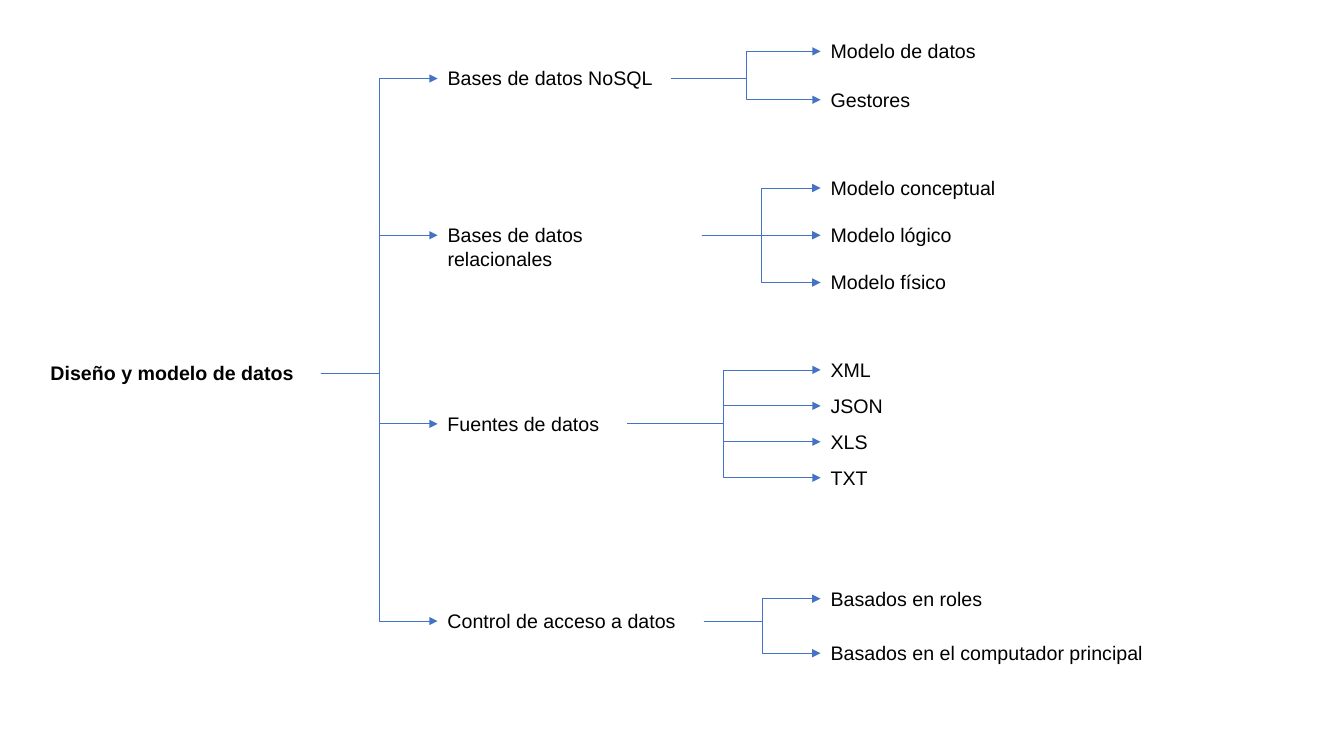
import collections
import pptx
import pptx.dml.color
import pptx.enum.dml
import pptx.enum.shapes
import pptx.enum.text
import pptx.oxml
import pptx.oxml.ns
import pptx.util

Theme = collections.namedtuple("Theme", "font size text line line_width inset_x inset_y")
Box = collections.namedtuple("Box", "left top width height")
Branch = collections.namedtuple("Branch", "topic topic_width topic_share top height leaves leaf_width")

THEME = Theme(
    font="Arial", size=pptx.util.Pt(14),
    text=pptx.dml.color.RGBColor(0, 0, 0),
    line=pptx.dml.color.RGBColor(0x44, 0x72, 0xC4), line_width=pptx.util.Pt(0.5),
    inset_x=pptx.util.Inches(0.1), inset_y=pptx.util.Inches(0.05))

SLIDE_W, SLIDE_H = pptx.util.Inches(13.33), pptx.util.Inches(7.5)

# Columns and heights, in percent of the slide
ROOT_LEFT, TOPIC_LEFT, LEAF_LEFT = 3, 32.56, 61.06
ROOT_WIDTH, ROOT_CENTER = 20.85, 49.33
LABEL_HEIGHT = 4.53

# Tops and heights run from the first leaf's centre to the last one's
BRANCHES = [
    Branch("Bases de datos NoSQL", 17.4, 0.56, 6.8, 6.4,
           ["Modelo de datos", "Gestores"], 20.85),
    Branch("Bases de datos relacionales", 19.65, 0.5, 24.87, 12.5,
           ["Modelo conceptual", "Modelo lógico", "Modelo físico"], 19.8),
    Branch("Fuentes de datos", 14.1, 0.5, 48.93, 14.27,
           ["XML", "JSON", "XLS", "TXT"], 19.8),
    Branch("Control de acceso a datos", 19.8, 0.41, 79.2, 7.2,
           ["Basados en roles", "Basados en el computador principal"], 26.86),
]


def x(percent):
    return round(SLIDE_W * percent / 100)


def y(percent):
    return round(SLIDE_H * percent / 100)


def set_all(target, values):
    for name, value in values.items():
        setattr(target, name, value)


def format_label(sp, text, box, bold=False):
    """Fill and place a one-label shape."""
    set_all(sp, {"left": x(box.left), "top": y(box.top),
                 "width": x(box.width), "height": y(box.height)})
    tf = sp.text_frame
    set_all(tf, {
        "word_wrap": True,
        "auto_size": pptx.enum.text.MSO_AUTO_SIZE.SHAPE_TO_FIT_TEXT,
        "vertical_anchor": pptx.enum.text.MSO_ANCHOR.TOP,
        "margin_left": THEME.inset_x, "margin_right": THEME.inset_x,
        "margin_top": THEME.inset_y, "margin_bottom": THEME.inset_y})
    p = tf.paragraphs[0]
    p.alignment = pptx.enum.text.PP_ALIGN.LEFT
    r = p.add_run()
    r.text = text
    set_all(r.font, {"name": THEME.font, "size": THEME.size, "bold": bold})
    r.font.color.rgb = THEME.text


def add_label(slide, text, left, center, width):
    sp = slide.shapes.add_textbox(0, 0, 0, 0)
    format_label(sp, text, Box(left, center - LABEL_HEIGHT / 2, width, LABEL_HEIGHT))


def add_arrow(slide, x1, y1, x2, y2):
    """Elbow arrow between two points given in percent."""
    line = slide.shapes.add_connector(
        pptx.enum.shapes.MSO_CONNECTOR.ELBOW, x(x1), y(y1), x(x2), y(y2))
    line.line.color.rgb = THEME.line
    line.line.width = THEME.line_width
    ns = pptx.oxml.ns.nsdecls("a")
    line.line._get_or_add_ln().append(
        pptx.oxml.parse_xml(f'<a:tailEnd {ns} type="triangle"/>'))
    line._element.spPr.append(pptx.oxml.parse_xml(f"<a:effectLst {ns}/>"))


def add_root(slide, box):
    format_label(slide.shapes.title, "Diseño y modelo de datos", box, bold=True)


def add_branch(slide, box, branch):
    """Topic on the left edge of the box, evenly spaced leaves in the last column."""
    topic_y = box.top + branch.topic_share * box.height
    add_label(slide, branch.topic, box.left, topic_y, branch.topic_width)
    add_arrow(slide, ROOT_LEFT + ROOT_WIDTH, ROOT_CENTER, box.left, topic_y)

    leaf_left = box.left + box.width
    gap = box.height / (len(branch.leaves) - 1)
    for i, leaf in enumerate(branch.leaves):
        leaf_y = box.top + i * gap
        add_label(slide, leaf, leaf_left, leaf_y, branch.leaf_width)
        add_arrow(slide, box.left + branch.topic_width, topic_y, leaf_left, leaf_y)


def main():
    prs = pptx.Presentation()
    set_all(prs, {"slide_width": SLIDE_W, "slide_height": SLIDE_H})
    slide = prs.slides.add_slide(prs.slide_layouts.get_by_name("Title Only"))

    add_root(slide, Box(ROOT_LEFT, ROOT_CENTER - LABEL_HEIGHT / 2,
                        ROOT_WIDTH, LABEL_HEIGHT))
    for branch in BRANCHES:
        box = Box(TOPIC_LEFT, branch.top, LEAF_LEFT - TOPIC_LEFT, branch.height)
        add_branch(slide, box, branch)
    prs.save("out.pptx")


if __name__ == "__main__":
    main()
